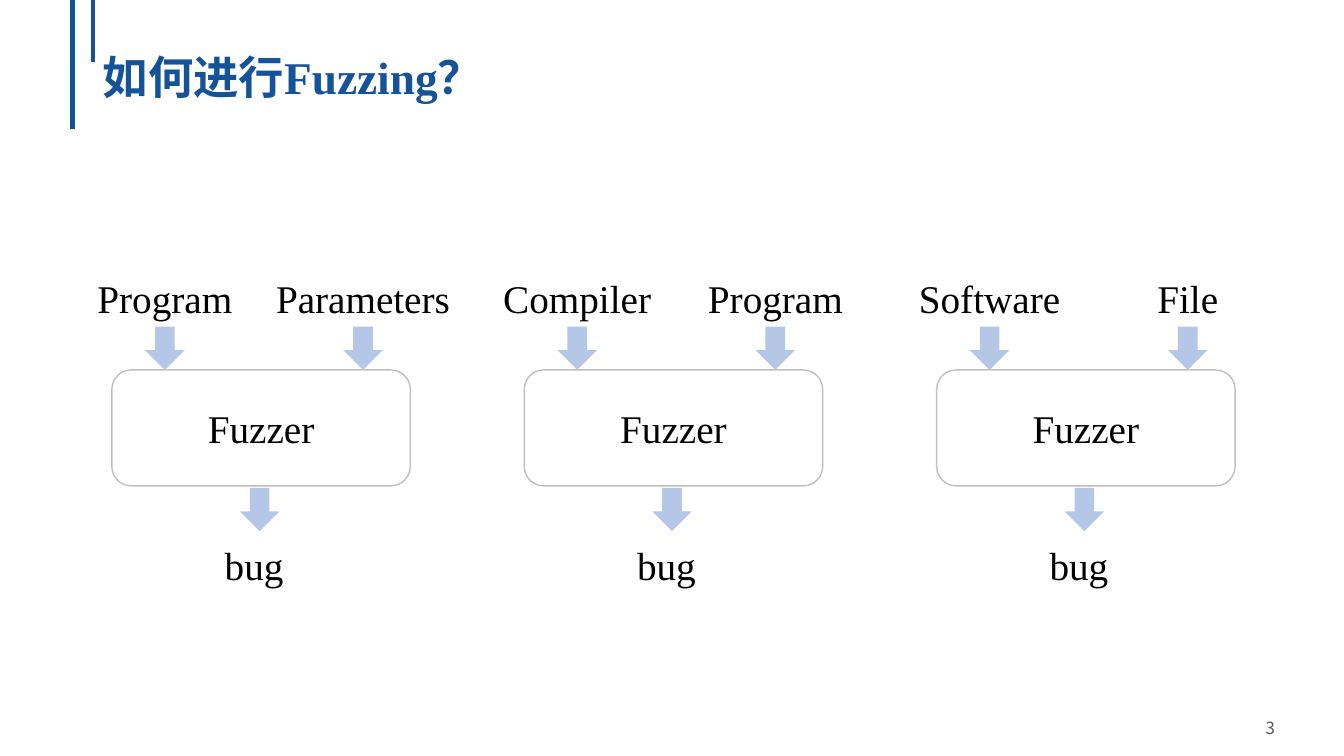
from pptx import Presentation
from pptx.dml.color import RGBColor
from pptx.enum.shapes import MSO_CONNECTOR, MSO_SHAPE
from pptx.enum.text import MSO_ANCHOR, MSO_AUTO_SIZE, PP_ALIGN
from pptx.oxml.ns import qn
from pptx.util import Pt
from lxml import etree

CENTER, LEFT = PP_ALIGN.CENTER, PP_ALIGN.LEFT
MIDDLE, TOP = MSO_ANCHOR.MIDDLE, MSO_ANCHOR.TOP
GROW = MSO_AUTO_SIZE.SHAPE_TO_FIT_TEXT
ROUND_RECT, DOWN_ARROW = MSO_SHAPE.ROUNDED_RECTANGLE, MSO_SHAPE.DOWN_ARROW
STRAIGHT = MSO_CONNECTOR.STRAIGHT

# Content
TITLE = "如何进行Fuzzing？"
PAGE = "3"
TOOL, RESULT = "Fuzzer", "bug"
FLOWS = [("Program", "Parameters"), ("Compiler", "Program"), ("Software", "File")]

THEME = {
    "blue": "145397", "arrow": "B4C7E7", "border": "BFBFBF",
    "black": "000000", "grey": "595959",
    "latin": "Times New Roman", "cjk": "Noto Sans CJK SC",
    "title_size": 32.4, "body_size": 28, "page_size": 12,
}

# Layout in px, 100 to the inch
EMU_PER_PX = 9144
SLIDE_W, SLIDE_H = 1333, 750
RULES = [(72, 128), (92, 62)]  # x, length
TITLE_BOX = (92, 49, 924, 61)
PAGE_BOX = (1215, 707, 90, 30)
FLOW_X, FLOW_PITCH = 111, 409
BOX_Y, BOX_W, BOX_H = 367, 296, 115
ARROW_W, ARROW_H = 39, 43
LABEL_Y, LABEL_H = 267, 57
INPUTS = [(-34, 173), (143, 212)]  # label x from the box, label width
OUT_ARROW = (127, 484)
RESULT_X, RESULT_Y, RESULT_W = 35, 532, 212


def emu(*px):
    return [round(v * EMU_PER_PX) for v in px]


def rgb(name):
    return RGBColor.from_string(THEME[name])


def write(shape, text, size="body_size", color="black", font="latin",
          bold=False, align=CENTER, anchor=TOP, spacing=None):
    tf = shape.text_frame
    tf.word_wrap = True
    tf.vertical_anchor = anchor
    p = tf.paragraphs[0]
    p.alignment = align
    p.line_spacing = spacing
    r = p.add_run()
    r.text = text
    for key, value in {"size": Pt(THEME[size]), "bold": bold,
                       "name": THEME[font]}.items():
        setattr(r.font, key, value)
    r.font.color.rgb = rgb(color)
    ea = etree.SubElement(r.font._element, qn("a:ea"))
    ea.set("typeface", THEME["cjk"])
    return tf


def add_label(shapes, text, x, y, w):
    tf = write(shapes.add_textbox(*emu(x, y, w, LABEL_H)), text)
    tf.auto_size = GROW


def add_arrow(shapes, x, y):
    sp = shapes.add_shape(DOWN_ARROW, *emu(x, y, ARROW_W, ARROW_H))
    sp.shadow.inherit = False
    sp.fill.solid()
    sp.fill.fore_color.rgb = rgb("arrow")
    sp.line.fill.background()


def add_flow(s, x, inputs):
    """Draw one column: two inputs into the tool, one result out."""
    shapes = s.shapes.add_group_shape().shapes
    box = shapes.add_shape(ROUND_RECT, *emu(x, BOX_Y, BOX_W, BOX_H))
    box.shadow.inherit = False
    box.fill.background()
    box.line.color.rgb = rgb("border")
    box.line.width = Pt(1)
    write(box, TOOL, anchor=MIDDLE)
    for text, (dx, w) in zip(inputs, INPUTS):
        add_label(shapes, text, x + dx, LABEL_Y, w)
        add_arrow(shapes, x + dx + (w - ARROW_W) / 2, BOX_Y - ARROW_H)
    add_arrow(shapes, x + OUT_ARROW[0], OUT_ARROW[1])
    add_label(shapes, RESULT, x + RESULT_X, RESULT_Y, RESULT_W)


def add_rule(s, x, length):
    line = s.shapes.add_connector(STRAIGHT, *emu(x, 0, x, length))
    line.line.color.rgb = rgb("blue")
    line.line.width = Pt(3)
    etree.SubElement(line._element.spPr, qn("a:effectLst"))


def main():
    prs = Presentation()
    prs.slide_width, prs.slide_height = emu(SLIDE_W, SLIDE_H)
    s = prs.slides.add_slide(prs.slide_layouts[6])
    for x, length in RULES:
        add_rule(s, x, length)
    write(s.shapes.add_textbox(*emu(*TITLE_BOX)), TITLE, size="title_size",
          color="blue", bold=True, align=LEFT, anchor=MIDDLE, spacing=0.9)
    write(s.shapes.add_textbox(*emu(*PAGE_BOX)), PAGE, size="page_size",
          color="grey", font="cjk")
    for i, inputs in enumerate(FLOWS):
        add_flow(s, FLOW_X + i * FLOW_PITCH, inputs)
    prs.save("out.pptx")


if __name__ == "__main__":
    main()
